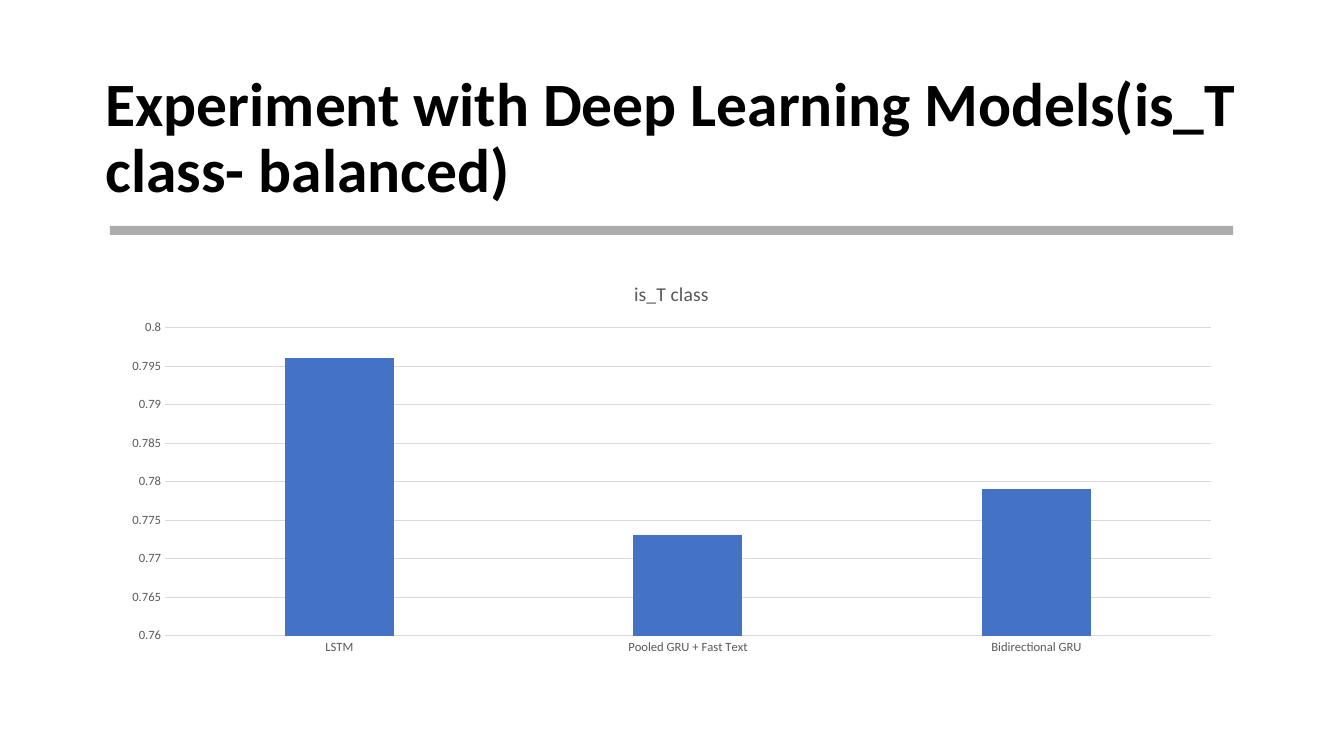
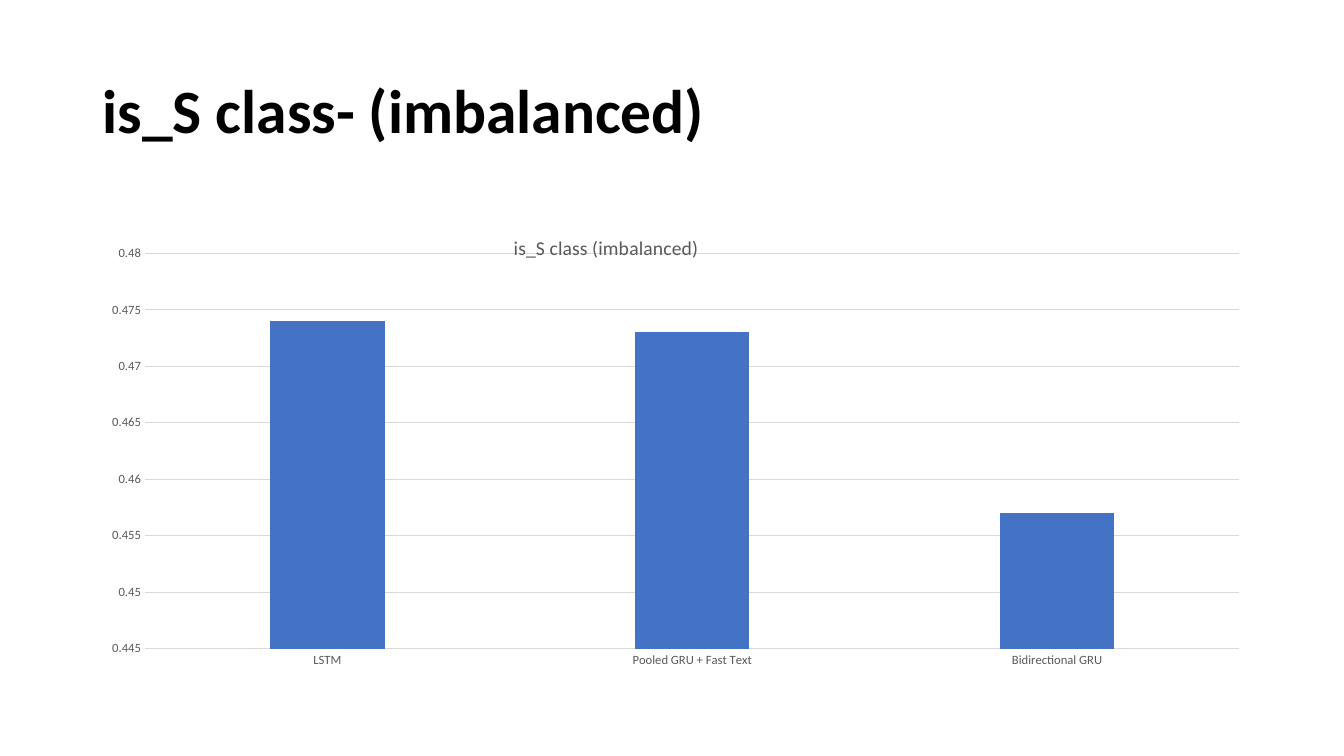
"""Build two slides that compare deep learning models with column charts."""
from dataclasses import dataclass
from typing import Any, Optional

from lxml.etree import SubElement
from pptx import Presentation
from pptx.chart.chart import Chart
from pptx.chart.data import CategoryChartData
from pptx.dml.color import RGBColor
from pptx.enum.chart import XL_CHART_TYPE as ChartType, XL_TICK_MARK as TickMark
from pptx.enum.shapes import MSO_SHAPE as Preset
from pptx.enum.text import MSO_ANCHOR as Anchor
from pptx.oxml import parse_xml
from pptx.oxml.ns import nsdecls, qn
from pptx.slide import Slide
from pptx.util import Inches, Pt

COLORS = {"title": "000000", "label": "595959", "grid": "D9D9D9",
          "column": "4472C4", "rule": "808080"}
FONT = "Calibri"
MODELS = ("LSTM", "Pooled GRU + Fast Text", "Bidirectional GRU")
TITLE_FORMAT = {"size": Pt(44), "bold": True}
CHART_TITLE_FORMAT = {"size": Pt(14), "bold": False}
LABEL_FORMAT = {"size": Pt(9), "bold": False}
FRAME_FORMAT = {"word_wrap": True, "vertical_anchor": Anchor.MIDDLE}
PLOT_FORMAT = {"gap_width": 219, "overlap": -27, "vary_by_categories": False}
TICK_FORMAT = {"major_tick_mark": TickMark.NONE, "minor_tick_mark": TickMark.NONE}


@dataclass(frozen=True)
class Box:
    left: float
    top: float
    width: float
    height: float

    def lengths(self) -> tuple:
        return tuple(Inches(n) for n in (self.left, self.top, self.width, self.height))


@dataclass(frozen=True)
class Experiment:
    title: str
    title_box: Box
    chart_title: str
    chart_box: Box
    scores: tuple[float, ...]
    lowest: float
    highest: float
    rule_box: Optional[Box] = None
    plot_layout: Optional[dict[str, float]] = None
    chart_title_layout: Optional[dict[str, float]] = None


EXPERIMENTS = (
    Experiment("Experiment with Deep Learning Models(is_T class- balanced)",
               Box(0.95, 0.66, 11.43, 1.45), "is_T class",
               Box(1.09, 2.61, 11.14, 3.96), (0.796, 0.773, 0.779), 0.76, 0.8,
               rule_box=Box(1.09, 2.24, 11.14, 0.09)),
    Experiment("is_S class- (imbalanced)",
               Box(0.92, 0.4, 11.5, 1.45), "is_S class (imbalanced)",
               Box(0.92, 2, 11.5, 4.76), (0.474, 0.473, 0.457), 0.445, 0.48,
               plot_layout={"x": 0.045, "y": 0.108, "w": 0.944, "h": 0.824},
               chart_title_layout={"x": 0.36, "y": 0.06}),
)


def color(name: str) -> RGBColor:
    return RGBColor.from_string(COLORS[name])


def apply(target: Any, values: dict[str, Any]) -> None:
    for name, value in values.items():
        setattr(target, name, value)


def style_font(font: Any, values: dict[str, Any], color_name: str) -> None:
    apply(font, {"name": FONT, **values})
    font.color.rgb = color(color_name)


def place(parent: Any, index: int, fractions: dict[str, float]) -> None:
    old = parent.find(qn("c:layout"))
    if old is not None:
        parent.remove(old)
    inner = '<c:layoutTarget val="inner"/>' if "w" in fractions else ""
    modes = "".join(f'<c:{key}Mode val="edge"/>' for key in ("x", "y"))
    values = "".join(f'<c:{key} val="{value}"/>' for key, value in fractions.items())
    parent.insert(index, parse_xml(
        f'<c:layout {nsdecls("c")}><c:manualLayout>{inner}{modes}{values}'
        "</c:manualLayout></c:layout>"))


def add_title(slide: Slide, text: str, box: Box) -> None:
    frame = slide.shapes.add_textbox(*box.lengths()).text_frame
    apply(frame, FRAME_FORMAT)
    paragraph = frame.paragraphs[0]
    paragraph.line_spacing = 0.9
    run = paragraph.add_run()
    run.text = text
    style_font(run.font, TITLE_FORMAT, "title")


def add_rule(slide: Slide, box: Box) -> None:
    rule = slide.shapes.add_shape(Preset.RECTANGLE, *box.lengths())
    rule.shadow.inherit = False
    rule.line.fill.background()
    rule.fill.solid()
    rule.fill.fore_color.rgb = color("rule")
    tint = rule.fill.fore_color
    tint.rgb = color("rule")
    SubElement(rule.element.spPr.find(".//" + qn("a:srgbClr")),
               qn("a:alpha"), val="65000")


def style_axes(chart: Chart, lowest: float, highest: float) -> None:
    models, scores = chart.category_axis, chart.value_axis
    for axis in (models, scores):
        apply(axis, TICK_FORMAT)
        style_font(axis.tick_labels.font, LABEL_FORMAT, "label")
    apply(scores, {"minimum_scale": lowest, "maximum_scale": highest,
                   "major_unit": 0.005, "has_major_gridlines": True})
    apply(scores.tick_labels, {"number_format": "General",
                               "number_format_is_linked": False})
    scores.format.line.fill.background()
    for line in (models.format.line, scores.major_gridlines.format.line):
        line.color.rgb = color("grid")
        line.width = Pt(0.75)


def add_score_chart(slide: Slide, experiment: Experiment) -> None:
    data = CategoryChartData()
    data.categories = MODELS
    data.add_series("Series 1", experiment.scores)
    chart = slide.shapes.add_chart(
        ChartType.COLUMN_CLUSTERED, *experiment.chart_box.lengths(), data).chart
    apply(chart, {"has_legend": False, "has_title": True})
    style_font(chart.font, {"size": Pt(10)}, "title")
    heading = chart.chart_title.text_frame.paragraphs[0].add_run()
    heading.text = experiment.chart_title
    style_font(heading.font, CHART_TITLE_FORMAT, "label")
    plot = chart.plots[0]
    apply(plot, PLOT_FORMAT)
    columns = plot.series[0].format.fill
    columns.solid()
    columns.fore_color.rgb = color("column")
    style_axes(chart, experiment.lowest, experiment.highest)
    for tag, index, layout in (("c:plotArea", 0, experiment.plot_layout),
                               ("c:title", 1, experiment.chart_title_layout)):
        if layout:
            place(chart.element.find(".//" + qn(tag)), index, layout)


def main() -> None:
    deck = Presentation()
    apply(deck, {"slide_width": Inches(13.33), "slide_height": Inches(7.5)})
    for experiment in EXPERIMENTS:
        slide = deck.slides.add_slide(deck.slide_layouts[6])
        add_title(slide, experiment.title, experiment.title_box)
        if experiment.rule_box:
            add_rule(slide, experiment.rule_box)
        add_score_chart(slide, experiment)
    deck.save("out.pptx")


if __name__ == "__main__":
    main()
